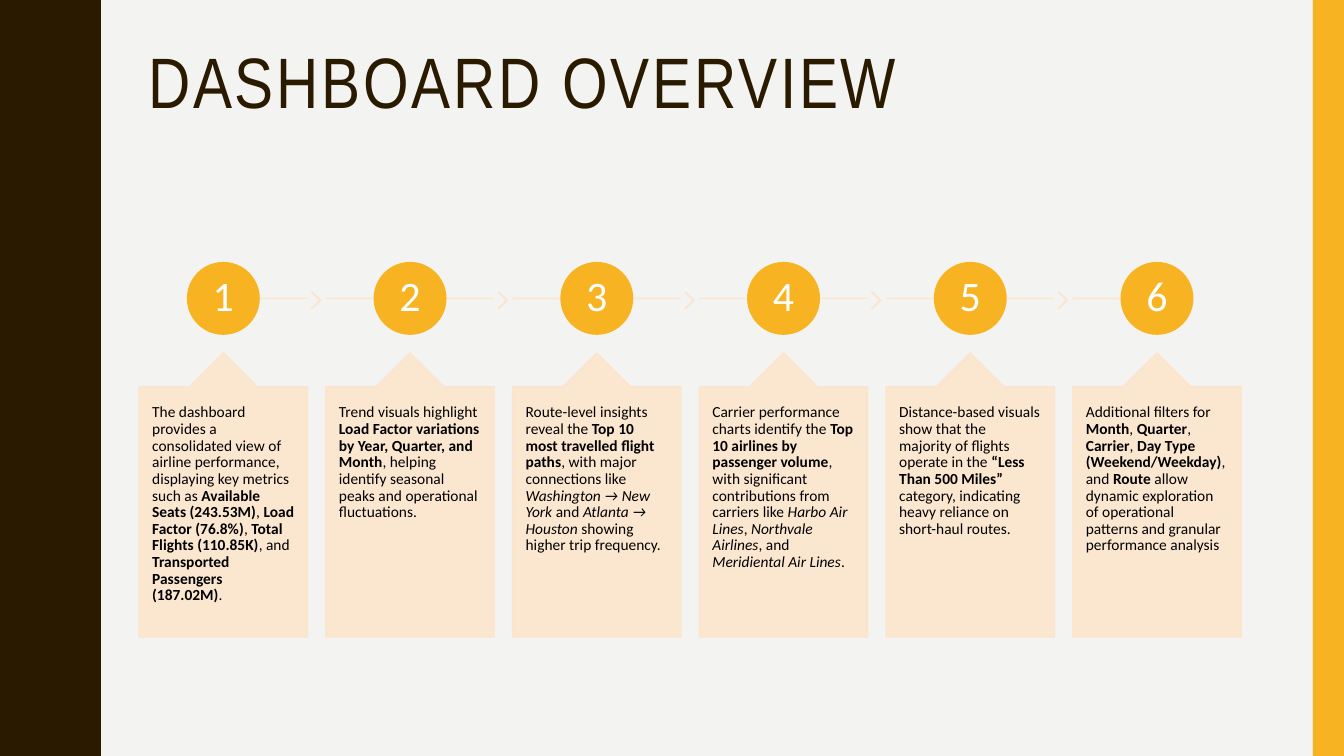
import pptx
import pptx.dml.color
import pptx.enum.shapes
import pptx.enum.text
import pptx.oxml
import pptx.oxml.ns
import pptx.util

SHAPE = pptx.enum.shapes.MSO_SHAPE
ALIGN = pptx.enum.text.PP_ALIGN
ANCHOR = pptx.enum.text.MSO_ANCHOR
Inches, Pt = pptx.util.Inches, pptx.util.Pt

WIDTH, HEIGHT = 13.33, 7.5
BACKGROUND, BROWN, AMBER, PEACH = "F3F3F2", "2A1A00", "F8B323", "FCE5CD"
WHITE, BLACK = "FFFFFF", "000000"

# Step grid: six columns, one row of markers and one row of callouts
LEFT, PITCH, CARD_W = 1.38, 1.852, 1.67
LINE_Y, CIRCLE, CARD_TOP, CARD_H = 2.96, 0.71, 3.5, 2.82

# Half a wave of the left edge, as (x, y); the other half mirrors it
WAVE = 1.5
HALF_WAVE = [(0.78, 0), (0.78, 0.07), (0.79, 0.14), (0.8, 0.2), (0.81, 0.25),
             (0.83, 0.29), (0.85, 0.33), (0.87, 0.38), (0.89, 0.42),
             (0.91, 0.46), (0.93, 0.5), (0.95, 0.55), (0.96, 0.61),
             (0.97, 0.68), (0.97, 0.75)]

# Each step is a list of (text, style) runs
STEPS = [
    [("The dashboard provides a consolidated view of airline performance, "
      "displaying key metrics such as ", ""),
     ("Available Seats (243.53M)", "bold"), (", ", ""),
     ("Load Factor (76.8%)", "bold"), (", ", ""),
     ("Total Flights (110.85K)", "bold"), (", and ", ""),
     ("Transported Passengers (187.02M)", "bold"), (".", "")],
    [("Trend visuals highlight ", ""),
     ("Load Factor variations by Year, Quarter, and Month", "bold"),
     (", helping identify seasonal peaks and operational fluctuations.", "")],
    [("Route-level insights reveal the ", ""),
     ("Top 10 most travelled flight paths", "bold"),
     (", with major connections like ", ""),
     ("Washington → New York", "italic"), (" and ", ""),
     ("Atlanta → Houston", "italic"),
     (" showing higher trip frequency.", "")],
    [("Carrier performance charts identify the ", ""),
     ("Top 10 airlines by passenger volume", "bold"),
     (", with significant contributions from carriers like ", ""),
     ("Harbo Air Lines", "italic"), (", ", ""),
     ("Northvale Airlines", "italic"), (", and ", ""),
     ("Meridiental Air Lines", "italic"), (".", "")],
    [("Distance-based visuals show that the majority of flights operate "
      "in the ", ""),
     ("“Less Than 500 Miles”", "bold"),
     (" category, indicating heavy reliance on short-haul routes.", "")],
    [("Additional filters for ", ""),
     ("Month", "bold"), (", ", ""), ("Quarter", "bold"), (", ", ""),
     ("Carrier", "bold"), (", ", ""),
     ("Day Type (Weekend/Weekday)", "bold"), (", and ", ""),
     ("Route", "bold"),
     (" allow dynamic exploration of operational patterns and granular "
      "performance analysis", "")],
]


def rgb(value):
    return pptx.dml.color.RGBColor.from_string(value)


def set_attrs(obj, values):
    for name, value in values.items():
        setattr(obj, name, value)


def make_translucent(sp, percent):
    for clr in sp._element.spPr.iter(pptx.oxml.ns.qn("a:srgbClr")):
        alpha = pptx.oxml.parse_xml(
            f'<a:alpha {pptx.oxml.ns.nsdecls("a")} val="{percent * 1000}"/>')
        clr.append(alpha)


def paint(sp, fill, outlined=False):
    sp.shadow.inherit = False
    sp.fill.solid()
    sp.fill.fore_color.rgb = rgb(fill)
    if outlined:
        sp.line.color.rgb = rgb(fill)
        sp.line.width = Pt(1)
    else:
        sp.line.fill.background()


def add_shape(s, kind, box, fill, outlined=False, adjustments=()):
    sp = s.shapes.add_shape(kind, *map(Inches, box))
    for i, value in enumerate(adjustments):
        sp.adjustments[i] = value
    paint(sp, fill, outlined)
    return sp


def add_line(s, x1, x2, y):
    sp = s.shapes.add_connector(pptx.enum.shapes.MSO_CONNECTOR.STRAIGHT,
                                *map(Inches, (x1, y, x2, y)))
    sp.line.color.rgb = rgb(PEACH)
    sp.line.width = Pt(1)
    make_translucent(sp, 90)
    sp._element.spPr.append(pptx.oxml.parse_xml(
        f'<a:effectLst {pptx.oxml.ns.nsdecls("a")}/>'))


def write(sp, runs, font, size, color, align=ALIGN.LEFT, anchor=ANCHOR.TOP,
          inset=(0.1, 0.05), spacing=0):
    tf = sp.text_frame
    dx, dy = map(Inches, inset)
    set_attrs(tf, {"word_wrap": True, "vertical_anchor": anchor,
                   "margin_left": dx, "margin_right": dx,
                   "margin_top": dy, "margin_bottom": dy})
    p = tf.paragraphs[0]
    set_attrs(p, {"alignment": align, "line_spacing": 0.9})
    for text, style in runs:
        r = p.add_run()
        r.text = text
        set_attrs(r.font, {"name": font, "size": Pt(size),
                           "bold": style == "bold",
                           "italic": style == "italic"})
        r.font.color.rgb = rgb(color)
        if spacing:
            r._r.get_or_add_rPr().set("spc", str(spacing * 100))


def add_wavy_edge(s):
    mirrored = [(x, WAVE - y) for x, y in HALF_WAVE[-2::-1]]
    points = [(x, y + n * WAVE) for n in range(round(HEIGHT / WAVE))
              for x, y in HALF_WAVE + mirrored]
    builder = s.shapes.build_freeform(0, 0, scale=Inches(1))
    builder.add_line_segments(points + [(0, HEIGHT)], close=True)
    paint(builder.convert_to_shape(), BROWN)


def add_step(s, index, runs):
    x = LEFT + index * PITCH
    center = x + CARD_W / 2
    first, last = index == 0, index == len(STEPS) - 1

    # Timeline with an arrow towards the next step
    add_line(s, x + 0.93 if first else x, center if last else x + CARD_W,
             LINE_Y)
    if not last:
        sp = add_shape(s, SHAPE.CHEVRON, (x + 1.71, 2.9, 0.09, 0.16), PEACH,
                       True, [0.9])
        make_translucent(sp, 90)

    # Number
    sp = add_shape(s, SHAPE.OVAL, (center - CIRCLE / 2, LINE_Y - CIRCLE / 2,
                                   CIRCLE, CIRCLE), AMBER, True)
    write(sp, [(str(index + 1), "")], "Calibri", 30, WHITE, ALIGN.CENTER,
          ANCHOR.MIDDLE, (0.03, 0.03))

    # Description
    sp = add_shape(s, SHAPE.UP_ARROW_CALLOUT, (x, CARD_TOP, CARD_W, CARD_H),
                   PEACH, True, [0.5, 0.2, 0.2, 1])
    make_translucent(sp, 90)
    write(sp, runs, "Calibri", 11, BLACK, inset=(0.13, 0.18))


def main():
    prs = pptx.Presentation()
    set_attrs(prs, {"slide_width": Inches(WIDTH),
                    "slide_height": Inches(HEIGHT)})
    s = prs.slides.add_slide(prs.slide_layouts[6])
    s.background.fill.solid()
    s.background.fill.fore_color.rgb = rgb(BACKGROUND)

    # Side bands
    add_wavy_edge(s)
    add_shape(s, SHAPE.RECTANGLE, (WIDTH - 0.31, 0, 0.31, HEIGHT), AMBER)

    # Title
    title = s.shapes.add_textbox(*map(Inches, (1.37, 0.42, 11.13, 1.63)))
    write(title, [("DASHBOARD OVERVIEW", "")], "Arial Narrow", 51, BROWN,
          spacing=2)

    # Steps
    for index, runs in enumerate(STEPS):
        add_step(s, index, runs)

    prs.save("out.pptx")


if __name__ == "__main__":
    main()
